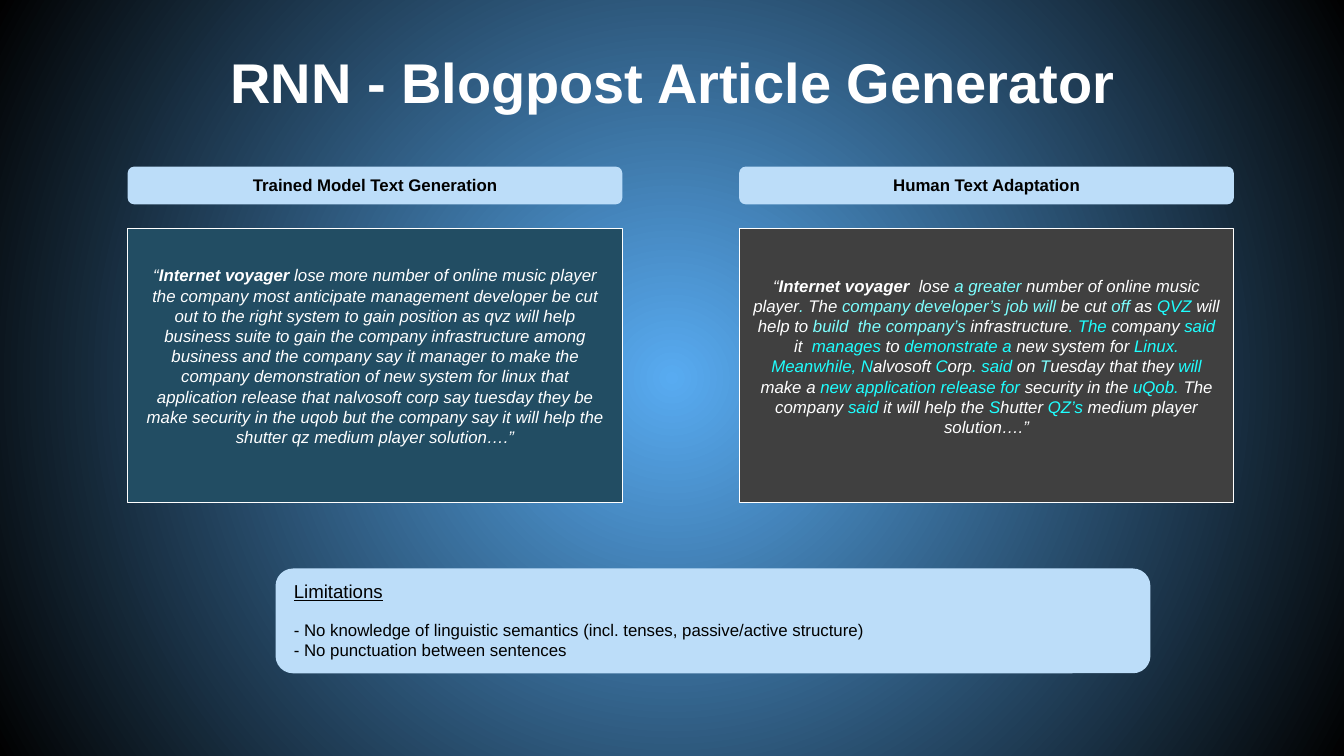
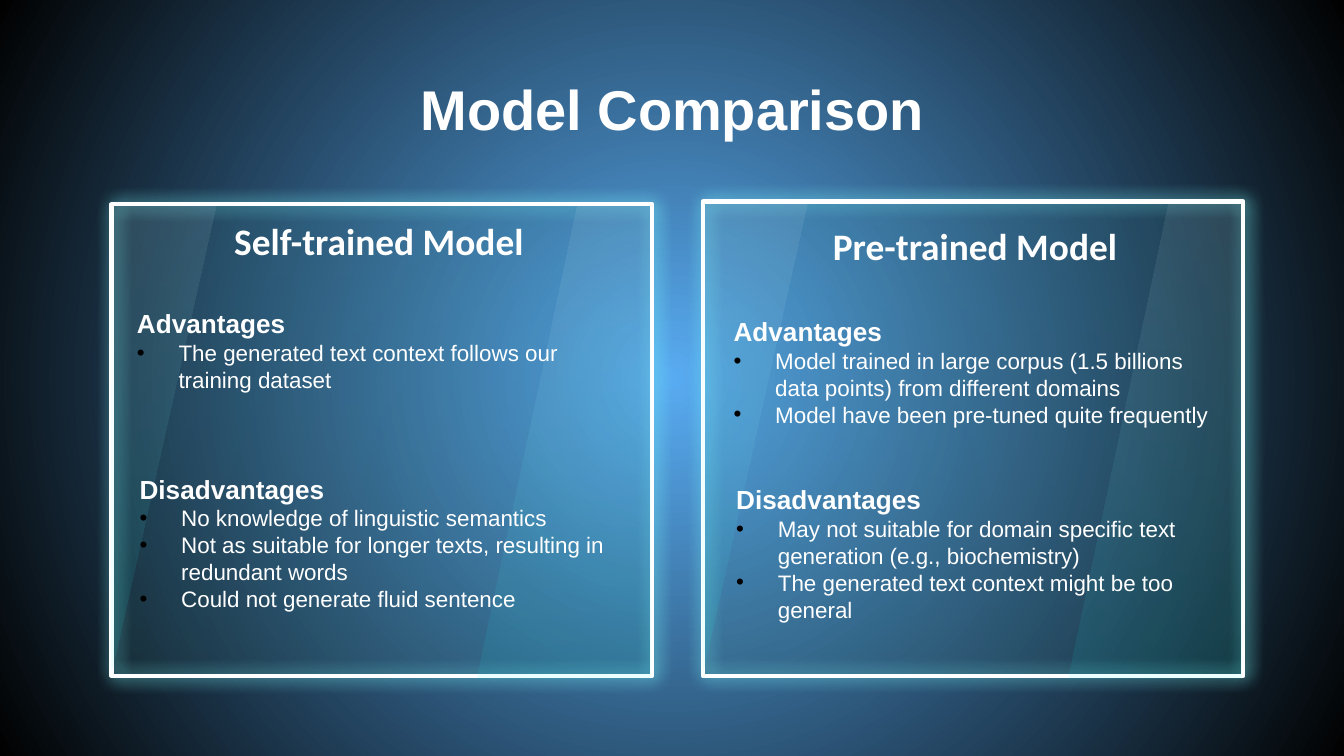
from dataclasses import dataclass
from typing import Any, NamedTuple

from lxml import etree
from pptx import Presentation
from pptx import util as u
from pptx.dml.color import RGBColor
from pptx.enum import shapes, text
from pptx.oxml import ns

PX = u.Inches(1) // 200
C = {
    "white": "FFFFFF",
    "black": "010101",
    "sky": "58ABF1",
    "label": "BCDDF9",
    "teal": "224D63",
    "gray": "404040",
    "aqua": "7EFFFF",
    "cyan": "1FFFFF",
    "navy": "0A3250",
    "shine": "00FFFF",
    "bullet": "000000",
}
RECT = shapes.MSO_SHAPE.RECTANGLE
ROUND = shapes.MSO_SHAPE.ROUNDED_RECTANGLE
CENTER = text.PP_ALIGN.CENTER
LEFT = text.PP_ALIGN.LEFT
TOP = text.MSO_ANCHOR.TOP
MIDDLE = text.MSO_ANCHOR.MIDDLE
BOTTOM = text.MSO_ANCHOR.BOTTOM


class Box(NamedTuple):
    x: int
    y: int
    w: int
    h: int


class Insets(NamedTuple):
    left: int = 20
    top: int = 10
    right: int = 20
    bottom: int = 10


class Run(NamedTuple):
    text: str
    color: str = ""
    bold: bool = False


@dataclass(frozen=True)
class Para:
    runs: tuple[Run, ...]
    size: int
    color: str = "white"
    bold: bool | None = None
    italic: bool | None = None
    underline: bool | None = None
    align: Any = LEFT
    font: str = "Arial"
    bullet: bool = False
    before: int = 0


@dataclass(frozen=True)
class Quote:
    x: int
    label: str
    fill: str
    runs: tuple[Run, ...]


@dataclass(frozen=True)
class Points:
    box: Box
    heading: str
    items: tuple[str, ...]


@dataclass(frozen=True)
class Model:
    panel: Box
    name: str
    name_box: Box
    points: tuple[Points, ...]


EVEN = Insets(20, 20, 20, 20)
QUOTE_INSETS = Insets(bottom=38)

QUOTES = (
    Quote(190, "Trained Model Text Generation", "teal", (
        Run("“"),
        Run("Internet voyager ", bold=True),
        Run("lose more number of online music player the company most anticipate "
            "management developer be cut out to the right system to gain position as "
            "qvz will help business suite to gain the company infrastructure among "
            "business and the company say it manager to make the company demonstration "
            "of new system for linux that application release that nalvosoft corp say "
            "tuesday they be make security in the uqob but the company say it will help "
            "the shutter qz medium player solution….”"),
    )),
    Quote(1100, "Human Text Adaptation", "gray", (
        Run("“"),
        Run("Internet voyager  ", bold=True),
        Run("lose "),
        Run("a greater ", "aqua"),
        Run("number of online music player"),
        Run(".", "aqua"),
        Run(" The "),
        Run("company developer’s job will ", "aqua"),
        Run("be cut "),
        Run("off ", "aqua"),
        Run("as "),
        Run("QVZ", "cyan"),
        Run(" will help to"),
        Run(" build  the company’s", "aqua"),
        Run(" infrastructure"),
        Run(". The", "cyan"),
        Run(" company "),
        Run("said", "cyan"),
        Run(" it  "),
        Run("manages", "cyan"),
        Run(" to "),
        Run("demonstrate a", "cyan"),
        Run(" new system for "),
        Run("Linux. Meanwhile, N", "cyan"),
        Run("alvosoft "),
        Run("C", "cyan"),
        Run("orp"),
        Run(". said ", "cyan"),
        Run("on "),
        Run("T", "aqua"),
        Run("uesday that they "),
        Run("will", "cyan"),
        Run(" make a "),
        Run("new application release for", "cyan"),
        Run(" security in the "),
        Run("uQob.", "cyan"),
        Run(" The company "),
        Run("said", "cyan"),
        Run(" it will help the "),
        Run("S", "cyan"),
        Run("hutter "),
        Run("QZ’s", "cyan"),
        Run(" medium player solution….”"),
    )),
)

MODELS = (
    Model(Box(166, 304, 804, 702), "Self-trained Model", Box(158, 268, 812, 144), (
        Points(Box(184, 448, 702, 148), "Advantages", (
            "The generated text context follows our training dataset",
        )),
        Points(Box(188, 694, 750, 228), "Disadvantages", (
            "No knowledge of linguistic semantics",
            "Not as suitable for longer texts, resulting in redundant words",
            "Could not generate fluid sentence",
        )),
    )),
    Model(Box(1046, 300, 804, 706), "Pre-trained Model", Box(1050, 274, 802, 144), (
        Points(Box(1072, 460, 762, 188), "Advantages", (
            "Model trained in large corpus (1.5 billions data points) from different domains",
            "Model have been pre-tuned quite frequently",
        )),
        Points(Box(1076, 710, 766, 228), "Disadvantages", (
            "May not suitable for domain specific text generation (e.g., biochemistry)",
            "The generated text context might be too general",
        )),
    )),
)


def rgb(name: str) -> RGBColor:
    return RGBColor.from_string(C[name])


def emu(box: Box) -> list[int]:
    return [v * PX for v in box]


def sub(parent: Any, tag: str, **attrs: Any) -> Any:
    return etree.SubElement(parent, ns.qn(tag), {k: str(v) for k, v in attrs.items()})


def para(value: str, size: int, **style: Any) -> Para:
    return Para((Run(value),), size, **style)


def write(sp: Any, paras: list[Para], anchor: Any = TOP, insets: Insets = Insets()) -> None:
    tf = sp.text_frame
    tf.word_wrap = True
    tf.vertical_anchor = anchor
    tf.margin_left, tf.margin_top, tf.margin_right, tf.margin_bottom = (v * PX for v in insets)
    for i, item in enumerate(paras):
        p = tf.add_paragraph() if i else tf.paragraphs[0]
        p.alignment = item.align
        if item.before:
            p.space_before = u.Pt(item.before)
        if item.bullet:
            ppr = p._p.get_or_add_pPr()
            ppr.set("marL", str(62 * PX))
            ppr.set("indent", str(-62 * PX))
            sub(sub(ppr, "a:buClr"), "a:srgbClr", val=C["bullet"])
            sub(ppr, "a:buFont", typeface="Arial")
            sub(ppr, "a:buChar", char="•")
        f = p.font
        f.name, f.size = item.font, u.Pt(item.size)
        f.bold, f.italic, f.underline = item.bold, item.italic, item.underline
        f.color.rgb = rgb(item.color)
        for run in item.runs:
            r = p.add_run()
            r.text = run.text
            if run.color:
                r.font.color.rgb = rgb(run.color)
            if run.bold:
                r.font.bold = True


def add_text(slide: Any, box: Box, paras: list[Para], anchor: Any = TOP,
             insets: Insets = Insets()) -> None:
    write(slide.shapes.add_textbox(*emu(box)), paras, anchor, insets)


def add_box(slide: Any, kind: Any, box: Box, fill: str, line: str = "") -> Any:
    sp = slide.shapes.add_shape(kind, *emu(box))
    sp.shadow.inherit = False
    sp.fill.solid()
    sp.fill.fore_color.rgb = rgb(fill)
    if line:
        sp.line.color.rgb = rgb(line)
        sp.line.width = u.Pt(0.75)
    else:
        sp.line.fill.background()
    return sp


def add_title(slide: Any, y: int, value: str) -> None:
    add_text(slide, Box(158, y, 1686, 126), [para(value, 30, bold=True, align=CENTER)],
             MIDDLE, EVEN)


def set_background(master: Any) -> None:
    fill = master.background.fill
    fill.gradient()
    for stop, name in zip(fill.gradient_stops, ("sky", "black")):
        stop.color.rgb = rgb(name)
    grad = master.element.find(".//" + ns.qn("a:gradFill"))
    grad.remove(grad.find(ns.qn("a:lin")))
    path = sub(grad, "a:path", path="circle")
    sub(path, "a:fillToRect", l=50000, t=50000, r=50000, b=50000)


def add_glass(group: Any, points: list[tuple[int, int]], start: str, end: str,
              angle: int) -> Any:
    builder = group.shapes.build_freeform(*points[0], scale=PX)
    builder.add_line_segments(points[1:], close=True)
    sp = builder.convert_to_shape()
    sp.shadow.inherit = False
    sp.line.fill.background()
    sp.fill.gradient()
    for stop, name in zip(sp.fill.gradient_stops, (start, end)):
        stop.color.rgb = rgb(name)
    grad = sp.element.spPr.find(ns.qn("a:gradFill"))
    for color in grad.iter(ns.qn("a:srgbClr")):
        sub(color, "a:alpha", val=8000)
    grad.find(ns.qn("a:lin")).set("ang", str(angle * 60000))
    return sp


def add_panel(slide: Any, box: Box) -> None:
    x, y, w, h = box
    right, bottom = x + w, y + h
    group = slide.shapes.add_group_shape()
    frame = add_glass(group, [(x, y), (right, y), (right, bottom), (x, bottom)],
                      "navy", "black", 90)
    frame.line.color.rgb = rgb("white")
    frame.line.width = u.Pt(2.25)
    effects = frame.element.spPr.find(ns.qn("a:effectLst"))
    glow = sub(effects, "a:outerShdw", blurRad=u.Pt(9), dist=u.Pt(1.5), dir=0,
               algn="ctr", rotWithShape=0)
    sub(glow, "a:srgbClr", val=C["aqua"])
    low = bottom + 4
    for points in (
        [(x, y), (x, bottom - 4), (x + 156, y)],
        [(x + 694, y), (x + 544, low), (right - 2, low), (right, y)],
    ):
        add_glass(group, points, "shine", "white", 270)


def build_generator(slide: Any) -> None:
    add_title(slide, 58, "RNN - Blogpost Article Generator")
    for q in QUOTES:
        sp = add_box(slide, RECT, Box(q.x, 340, 736, 408), q.fill, "white")
        write(sp, [Para(q.runs, 9, italic=True, align=CENTER)], MIDDLE, QUOTE_INSETS)
        sp = add_box(slide, ROUND, Box(q.x, 248, 736, 56), "label")
        write(sp, [para(q.label, 9, color="black", bold=True, align=CENTER)])
    sp = add_box(slide, ROUND, Box(410, 846, 1302, 156), "label")
    write(sp, [
        para("Limitations", 10, color="black", underline=True),
        para("- No knowledge of linguistic semantics (incl. tenses, passive/active structure)",
             9, color="black", before=9),
        para("- No punctuation between sentences", 9, color="black"),
    ])


def build_comparison(slide: Any) -> None:
    add_title(slide, 98, "Model Comparison")
    for m in MODELS:
        add_panel(slide, m.panel)
        add_text(slide, m.name_box,
                 [para(m.name, 20, bold=True, align=CENTER, font="Calibri")], BOTTOM, EVEN)
        for pts in m.points:
            add_text(slide, pts.box, [para(pts.heading, 14, bold=True)]
                     + [para(item, 12, bullet=True) for item in pts.items])


def main() -> None:
    prs = Presentation()
    prs.slide_width, prs.slide_height = 2000 * PX, 1125 * PX
    set_background(prs.slide_master)
    for build in (build_generator, build_comparison):
        build(prs.slides.add_slide(prs.slide_layouts[6]))
    prs.save("out.pptx")


if __name__ == "__main__":
    main()
